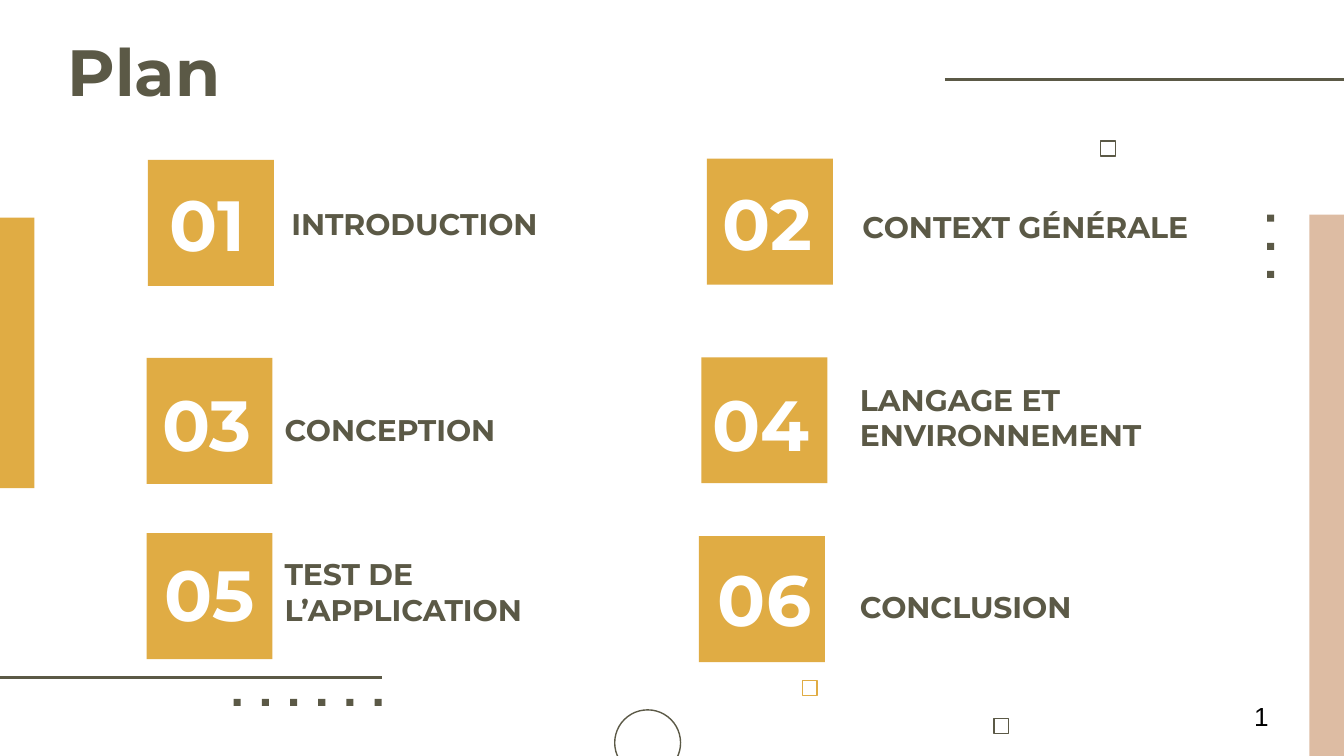
from pptx import Presentation
from pptx.dml.color import RGBColor
from pptx.enum.shapes import MSO_CONNECTOR, MSO_SHAPE
from pptx.enum.text import MSO_ANCHOR, MSO_AUTO_SIZE, PP_ALIGN
from pptx.oxml.ns import qn
from pptx.util import Pt
from lxml.etree import SubElement

OLIVE, GOLD, ROSE, WHITE, BLACK = "5B5946", "E0AC44", "DDBCA3", "FFFFFF", "000000"


def color(value):
    return RGBColor.from_string(value)


class PlanSlide:
    font = "Montserrat"
    inset = 7.2

    def __init__(self, page):
        self.page = page

    def fill_text(self, box, text, size, ink, bold=True, font=None,
                  align=PP_ALIGN.LEFT, anchor=MSO_ANCHOR.TOP):
        frame = box.text_frame
        frame.word_wrap = True
        frame.auto_size = MSO_AUTO_SIZE.NONE
        frame.vertical_anchor = anchor
        frame.margin_left = frame.margin_right = Pt(self.inset)
        frame.margin_top = frame.margin_bottom = Pt(self.inset)
        para = frame.paragraphs[0]
        para.alignment = align
        span = para.add_run()
        span.text = text
        span.font.name = font or self.font
        span.font.size = Pt(size)
        span.font.bold = bold
        span.font.color.rgb = color(ink)

    def title(self, text, left, top, width, height):
        box = self.page.shapes.title
        box.left, box.top, box.width, box.height = map(Pt, (left, top, width, height))
        self.fill_text(box, text, 35, OLIVE)

    def text(self, text, left, top, width, height, size, ink, **style):
        box = self.page.shapes.add_textbox(*map(Pt, (left, top, width, height)))
        self.fill_text(box, text, size, ink, **style)

    def shape(self, left, top, width, height, fill=None, line=None,
              kind=MSO_SHAPE.RECTANGLE, parent=None):
        shapes = (parent or self.page).shapes
        shape = shapes.add_shape(kind, *map(Pt, (left, top, width, height)))
        shape.shadow.inherit = False
        if fill:
            shape.fill.solid()
            shape.fill.fore_color.rgb = color(fill)
        else:
            shape.fill.background()
        if line:
            shape.line.color.rgb = color(line)
            shape.line.width = Pt(0.75)
        else:
            shape.line.fill.background()

    def rule(self, left, top, width):
        line = self.page.shapes.add_connector(
            MSO_CONNECTOR.STRAIGHT, Pt(left), Pt(top), Pt(left + width), Pt(top))
        line.line.color.rgb = color(OLIVE)
        line.line.width = Pt(1.5)
        SubElement(line._element.spPr, qn("a:effectLst"))

    def dots(self, left, top, count, step_x=0, step_y=0):
        group = self.page.shapes.add_group_shape()
        for index in range(count):
            self.shape(left + index * step_x, top + index * step_y, 3.8, 3.8,
                       fill=OLIVE, parent=group)


# Number, label, then left and top of the square, the number and the label
ITEMS = [
    ("01", "INTRODUCTION", (79.2, 85.7), (70, 96.5), (149, 97.2)),
    ("02", "CONTEXT GÉNÉRALE", (378.7, 85), (370, 95.8), (455, 98.6)),
    ("03", "CONCEPTION", (78.5, 191.7), (70, 203.8), (145.4, 207.4)),
    ("04", "LANGAGE ET ENVIRONNEMENT", (375.8, 191.4), (366.5, 203.8), (453.6, 210.2)),
    ("05", "TEST DE L’APPLICATION", (78.5, 285.6), (71.3, 294.5), (145.4, 303.8)),
    ("06", "CONCLUSION", (374.4, 287.2), (368.6, 297.4), (453.6, 302.4)),
]


def main():
    deck = Presentation()
    deck.slide_width, deck.slide_height = Pt(720), Pt(405)
    plan = PlanSlide(deck.slides.add_slide(deck.slide_layouts[5]))

    plan.title("Plan", 28.8, 9.4, 622, 45.4)

    # Agenda items
    for number, label, square, number_spot, label_spot in ITEMS:
        plan.shape(*square, 67.5, 67.5, fill=GOLD)
        plan.text(number, *number_spot, 82, 46, 38, WHITE,
                  align=PP_ALIGN.CENTER, anchor=MSO_ANCHOR.MIDDLE)
        plan.text(label, *label_spot, 199.5, 39.6, 16, OLIVE, anchor=MSO_ANCHOR.BOTTOM)

    # Side bars
    plan.shape(701.5, 115, 18.5, 290, fill=ROSE)
    plan.shape(0, 116.6, 18.5, 145, fill=GOLD)

    # Rules and dots
    plan.rule(506.2, 42.5, 219.6)
    plan.rule(-15, 362.9, 219.6)
    plan.dots(678.8, 115, 3, step_y=15.1)
    plan.dots(125.2, 374.4, 6, step_x=15.1)

    # Outlined circle and small squares
    plan.shape(329.3, 380.3, 35.3, 35.3, line=OLIVE, kind=MSO_SHAPE.OVAL)
    for left, top, ink in [(429.8, 364.5, GOLD), (532.5, 385, OLIVE), (589.6, 75.6, OLIVE)]:
        plan.shape(left, top, 8, 8, line=ink)

    # Page number
    plan.inset = 3.6
    plan.text("1", 665.3, 371.5, 20.9, 24.5, 14, BLACK, bold=False, font="Arial",
              align=PP_ALIGN.CENTER)

    deck.save("out.pptx")


if __name__ == "__main__":
    main()
